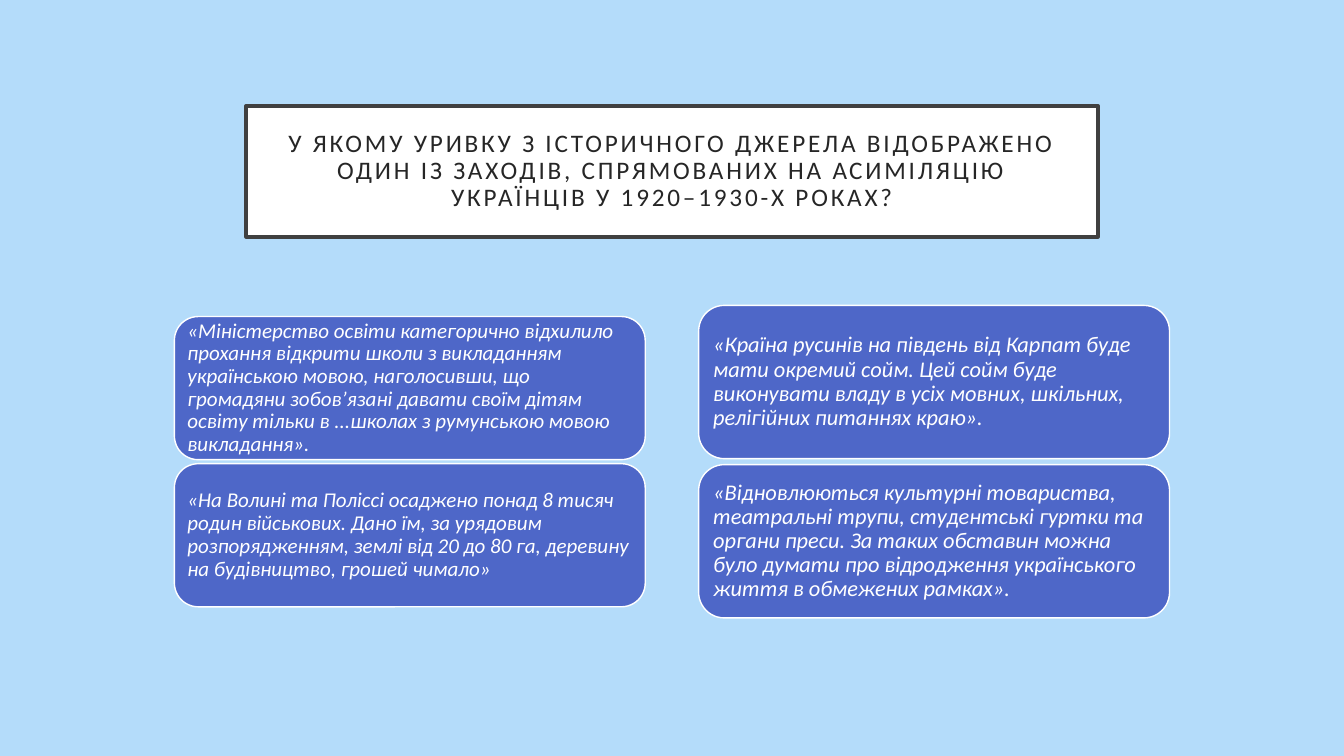
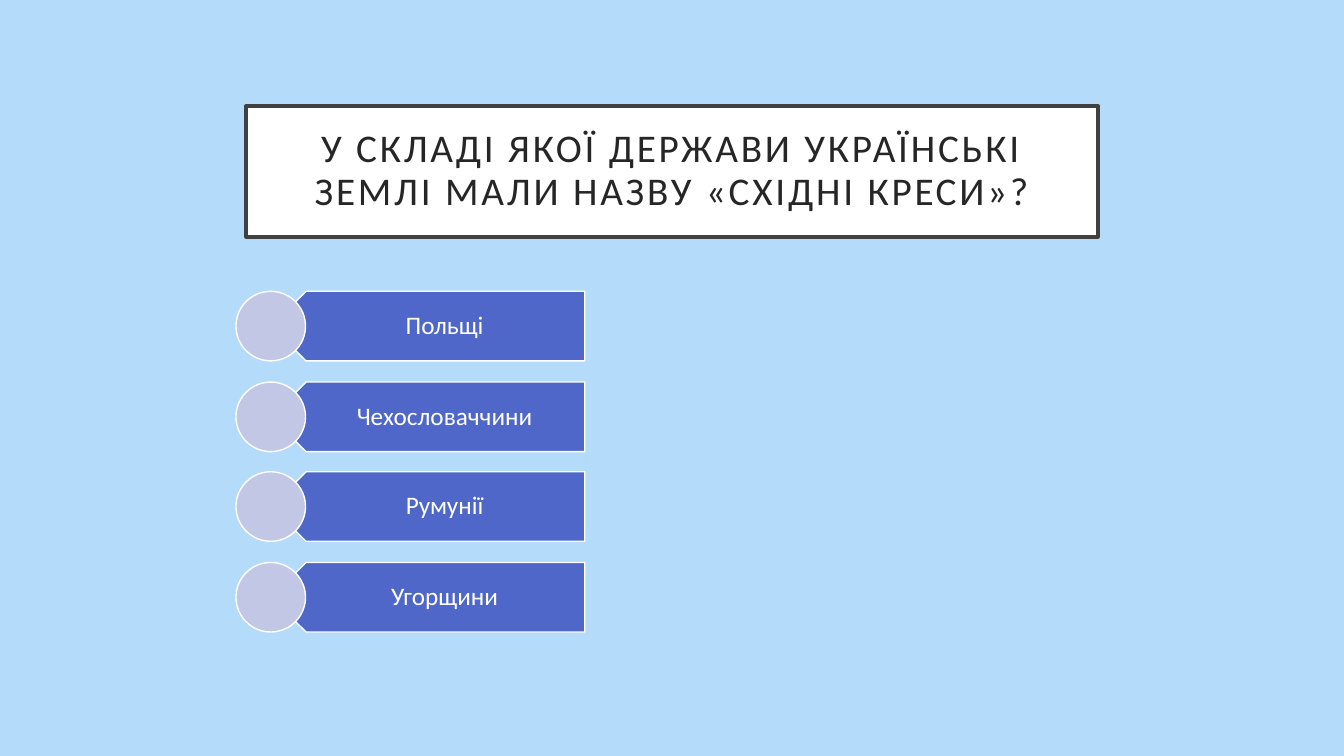
from pptx import Presentation
from pptx import util as u
from pptx.dml.color import RGBColor
from pptx.enum import shapes, text

PX = 9144  # 100 px to the inch
SKY = RGBColor(0xB4, 0xDC, 0xFA)
BLUE = RGBColor(0x4E, 0x67, 0xC8)
LILAC = RGBColor(0xC2, 0xC7, 0xE6)
WHITE = RGBColor(0xFF, 0xFF, 0xFF)
FRAME = RGBColor(0x40, 0x40, 0x40)
INK = RGBColor(0x26, 0x26, 0x26)
FONT = "Calibri"
LEFT, MID = text.PP_ALIGN.LEFT, text.PP_ALIGN.CENTER
KIND = shapes.MSO_SHAPE

QUOTES = {
    "title": "У ЯКОМУ УРИВКУ З ІСТОРИЧНОГО ДЖЕРЕЛА ВІДОБРАЖЕНО ОДИН ІЗ ЗАХОДІВ, "
             "СПРЯМОВАНИХ НА АСИМІЛЯЦІЮ УКРАЇНЦІВ У 1920–1930-Х РОКАХ?",
    "size": 18,
    "columns": [
        {"left": 173, "top": 314, "height": 142, "gap": 4, "pad": 6, "size": 15, "cards": [
            "«Міністерство освіти категорично відхилило прохання відкрити школи з "
            "викладанням українською мовою, наголосивши, що громадяни зобов’язані давати "
            "своїм дітям освіту тільки в ...школах з румунською мовою викладання».",
            "«На Волині та Поліссі осаджено понад 8 тисяч родин військових. Дано їм, за "
            "урядовим розпорядженням, землі від 20 до 80 га, деревину на будівництво, "
            "грошей чимало»",
        ]},
        {"left": 693, "top": 303, "height": 152, "gap": 6, "pad": 7, "size": 16, "cards": [
            "«Країна русинів на південь від Карпат буде мати окремий сойм. Цей сойм буде "
            "виконувати владу в усіх мовних, шкільних, релігійних питаннях краю».",
            "«Відновлюються культурні товариства, театральні трупи, студентські гуртки та "
            "органи преси. За таких обставин можна було думати про відродження українського "
            "життя в обмежених рамках».",
        ]},
    ],
}
CARD_W = 467

STATES = {
    "title": "У СКЛАДІ ЯКОЇ ДЕРЖАВИ УКРАЇНСЬКІ ЗЕМЛІ МАЛИ НАЗВУ «СХІДНІ КРЕСИ»?",
    "size": 28,
    "answers": ["Польщі", "Чехословаччини", "Румунії", "Угорщини"],
}
FIRST, LAST, ROW_H = 289, 558, 69
DOT_X, BAR_X, BAR_W, TEXT_X, TEXT_W = 234, 269, 311, 286, 293


def scale(*px):
    return [u.Emu(n * PX) for n in px]


def paint(shape, fill, line, width):
    shape.fill.solid()
    shape.fill.fore_color.rgb = fill
    shape.line.color.rgb = line
    shape.line.width = u.Pt(width)


def write(shape, words, size, color, pads, align):
    """Fill a shape with one paragraph; pads are left, top, right, bottom."""
    frame = shape.text_frame
    frame.word_wrap = True
    frame.auto_size = text.MSO_AUTO_SIZE.NONE
    frame.vertical_anchor = text.MSO_ANCHOR.MIDDLE
    (frame.margin_left, frame.margin_top,
     frame.margin_right, frame.margin_bottom) = scale(*pads)
    para = frame.paragraphs[0]
    para.alignment = align
    para.line_spacing = 0.9
    run = para.add_run()
    run.text = words
    run.font.name = FONT
    run.font.size = u.Pt(size)
    run.font.color.rgb = color
    return run


def draw(group, kind, box, fill):
    shape = group.shapes.add_shape(kind, *scale(*box))
    shape.shadow.inherit = False
    paint(shape, fill, WHITE, 1)
    return shape


def start(deck, topic):
    """Add a slide with its framed title."""
    slide = deck.slides.add_slide(deck.slide_layouts[5])
    title = slide.shapes.title
    title.left, title.top, title.width, title.height = scale(244, 105, 845, 130)
    paint(title, WHITE, FRAME, 2.5)
    run = write(title, topic["title"], topic["size"], INK, [20] * 4, MID)
    run.font._element.set("spc", "200")
    return slide


def quotes(deck):
    slide = start(deck, QUOTES)
    for col in QUOTES["columns"]:
        group = slide.shapes.add_group_shape()
        for row, words in enumerate(col["cards"]):
            top = col["top"] + row * (col["height"] + col["gap"])
            box = col["left"], top, CARD_W, col["height"]
            card = draw(group, KIND.ROUNDED_RECTANGLE, box, BLUE)
            run = write(card, words, col["size"], WHITE, [col["pad"]] * 4, LEFT)
            run.font.italic = True


def states(deck):
    slide = start(deck, STATES)
    group = slide.shapes.add_group_shape()
    names = STATES["answers"]
    pitch = (LAST - FIRST) / (len(names) - 1)
    for row, name in enumerate(names):
        top = round(FIRST + row * pitch)
        bar = draw(group, KIND.PENTAGON, (BAR_X, top, BAR_W, ROW_H), BLUE)
        bar.rotation = 180
        label = group.shapes.add_textbox(*scale(TEXT_X, top, TEXT_W, ROW_H))
        write(label, name, 18, WHITE, (31, 7, 14, 7), MID)
        draw(group, KIND.OVAL, (DOT_X, top, ROW_H, ROW_H), LILAC)


def main():
    deck = Presentation()
    deck.slide_width, deck.slide_height = scale(1333, 750)
    back = deck.slide_master.background.fill
    back.solid()
    back.fore_color.rgb = SKY
    quotes(deck)
    states(deck)
    deck.save("out.pptx")


if __name__ == "__main__":
    main()
